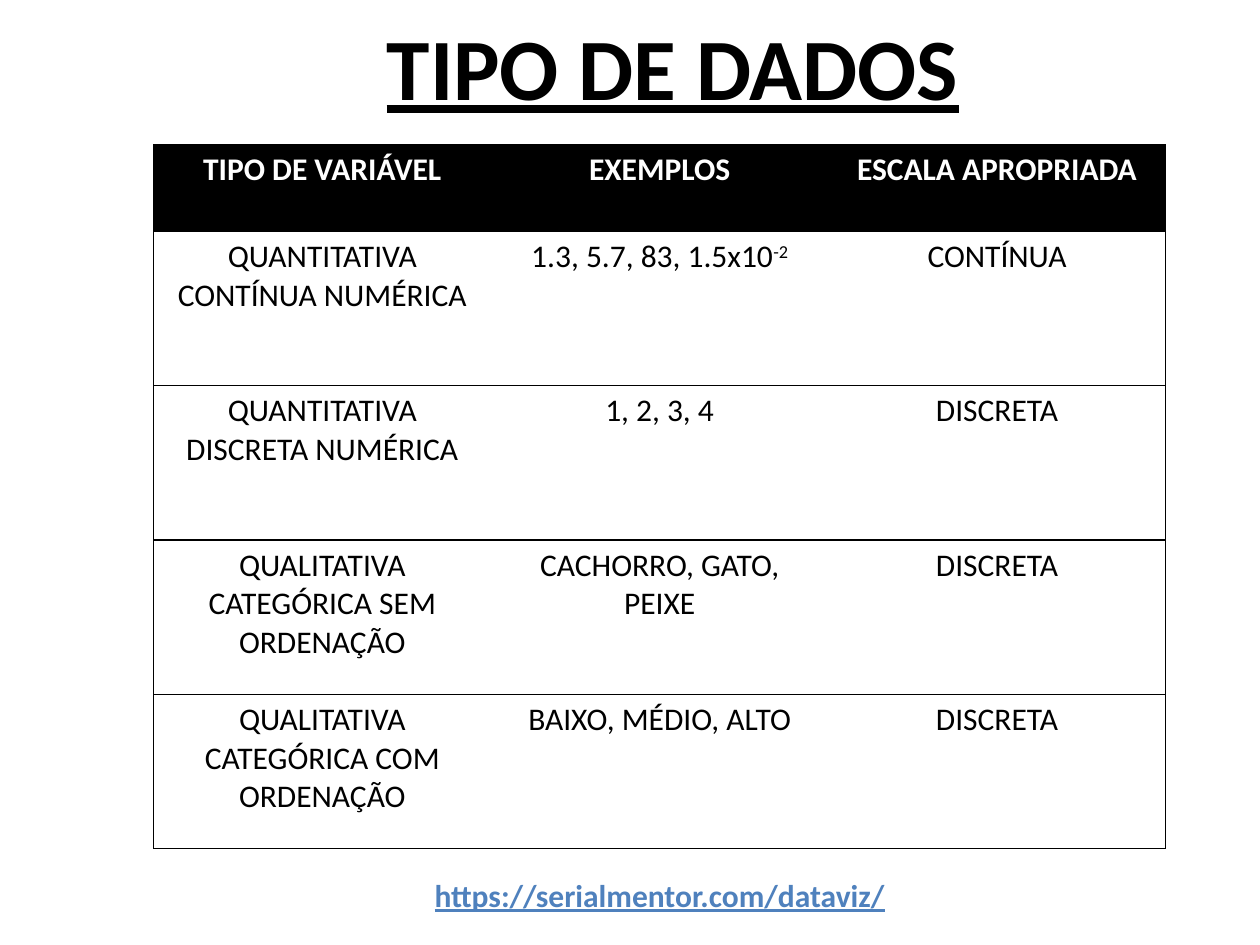
from lxml import etree
from pptx import Presentation
from pptx.dml.color import RGBColor
from pptx.enum.text import MSO_ANCHOR, MSO_AUTO_SIZE, PP_ALIGN
from pptx.oxml.ns import qn
from pptx.util import Pt

CENTER, LEFT = PP_ALIGN.CENTER, PP_ALIGN.LEFT
TOP = MSO_ANCHOR.TOP
GROW = MSO_AUTO_SIZE.SHAPE_TO_FIT_TEXT

THEME = {
    "font": "Calibri",
    "black": "000000", "white": "FFFFFF", "blue": "4F81BD",
    "title": 50, "body": 18, "border": 0.75,
}

TITLE = "TIPO DE DADOS"
SOURCE = "https://serialmentor.com/dataviz/"
HEADER = ["TIPO DE VARIÁVEL", "EXEMPLOS", "ESCALA APROPRIADA"]
# Line breaks separate paragraphs; "^" starts a superscript.
ROWS = [
    ["QUANTITATIVA\nCONTÍNUA NUMÉRICA", "1.3, 5.7, 83, 1.5x10^-2", "CONTÍNUA"],
    ["QUANTITATIVA\nDISCRETA NUMÉRICA", "1, 2, 3, 4", "DISCRETA"],
    ["QUALITATIVA\nCATEGÓRICA SEM ORDENAÇÃO", "CACHORRO, GATO, PEIXE", "DISCRETA"],
    ["QUALITATIVA\nCATEGÓRICA COM ORDENAÇÃO", "BAIXO, MÉDIO, ALTO", "DISCRETA"],
]

TITLE_BOX = (213.8, 3.6, 344.2, 67.7)
SOURCE_BOX = (241.2, 496.8, 274.3, 29.1)
TABLE_LEFT, TABLE_TOP = 87.8, 82.6
COL_WIDTH, HEADER_HEIGHT, ROW_HEIGHT = 192.8, 49.6, 88.2


def add_run(p, text, size, color, bold=False, underline=False):
    r = p.add_run()
    r.text = text
    r.font.name = THEME["font"]
    r.font.size = Pt(size)
    r.font.bold = bold
    r.font.underline = underline
    r.font.color.rgb = RGBColor.from_string(THEME[color])
    return r


def fill_heading(sp, box, text, size, color):
    """Place a one-line bold, underlined text in a shape."""
    sp.left, sp.top, sp.width, sp.height = map(Pt, box)
    tf = sp.text_frame
    tf.word_wrap = False
    tf.auto_size = GROW
    tf.vertical_anchor = TOP
    p = tf.paragraphs[0]
    p.alignment = LEFT
    add_run(p, text, size, color, bold=True, underline=True)


def set_borders(cell, visible):
    """Draw the sides named in visible and clear the others."""
    tc_pr = cell._tc.get_or_add_tcPr()
    for side in "LRTB":
        ln = etree.SubElement(tc_pr, qn(f"a:ln{side}"), w=str(Pt(THEME["border"])))
        if side in visible:
            fill = etree.SubElement(ln, qn("a:solidFill"))
            etree.SubElement(fill, qn("a:srgbClr"), val=THEME["black"])
        else:
            etree.SubElement(ln, qn("a:noFill"))


def fill_cell(cell, text, is_header):
    color = "white" if is_header else "black"
    cell.fill.solid()
    cell.fill.fore_color.rgb = RGBColor.from_string(
        THEME["black" if is_header else "white"])
    tf = cell.text_frame
    for i, line in enumerate(text.split("\n")):
        p = tf.add_paragraph() if i else tf.paragraphs[0]
        p.alignment = CENTER
        base, _, exponent = line.partition("^")
        add_run(p, base, THEME["body"], color, bold=is_header)
        if exponent:
            r = add_run(p, exponent, THEME["body"], color)
            r._r.get_or_add_rPr().set("baseline", "30000")


def add_data_table(slide):
    data = [HEADER] + ROWS
    n_cols = len(HEADER)
    height = HEADER_HEIGHT + ROW_HEIGHT * len(ROWS)
    table = slide.shapes.add_table(
        len(data), n_cols, Pt(TABLE_LEFT), Pt(TABLE_TOP),
        Pt(COL_WIDTH * n_cols), Pt(height)).table
    table.horz_banding = False
    for col in table.columns:
        col.width = Pt(COL_WIDTH)
    for i, texts in enumerate(data):
        table.rows[i].height = Pt(ROW_HEIGHT if i else HEADER_HEIGHT)
        for j, text in enumerate(texts):
            cell = table.cell(i, j)
            sides = "TB" + ("L" if j == 0 else "") + ("R" if j == n_cols - 1 else "")
            set_borders(cell, sides)
            fill_cell(cell, text, is_header=i == 0)


def main():
    prs = Presentation()
    prs.slide_width, prs.slide_height = Pt(720), Pt(540)
    slide = prs.slides.add_slide(prs.slide_layouts[5])
    fill_heading(slide.shapes.title, TITLE_BOX, TITLE, THEME["title"], "black")
    add_data_table(slide)
    source = slide.shapes.add_textbox(*map(Pt, SOURCE_BOX))
    fill_heading(source, SOURCE_BOX, SOURCE, THEME["body"], "blue")
    prs.save("out.pptx")


if __name__ == "__main__":
    main()
